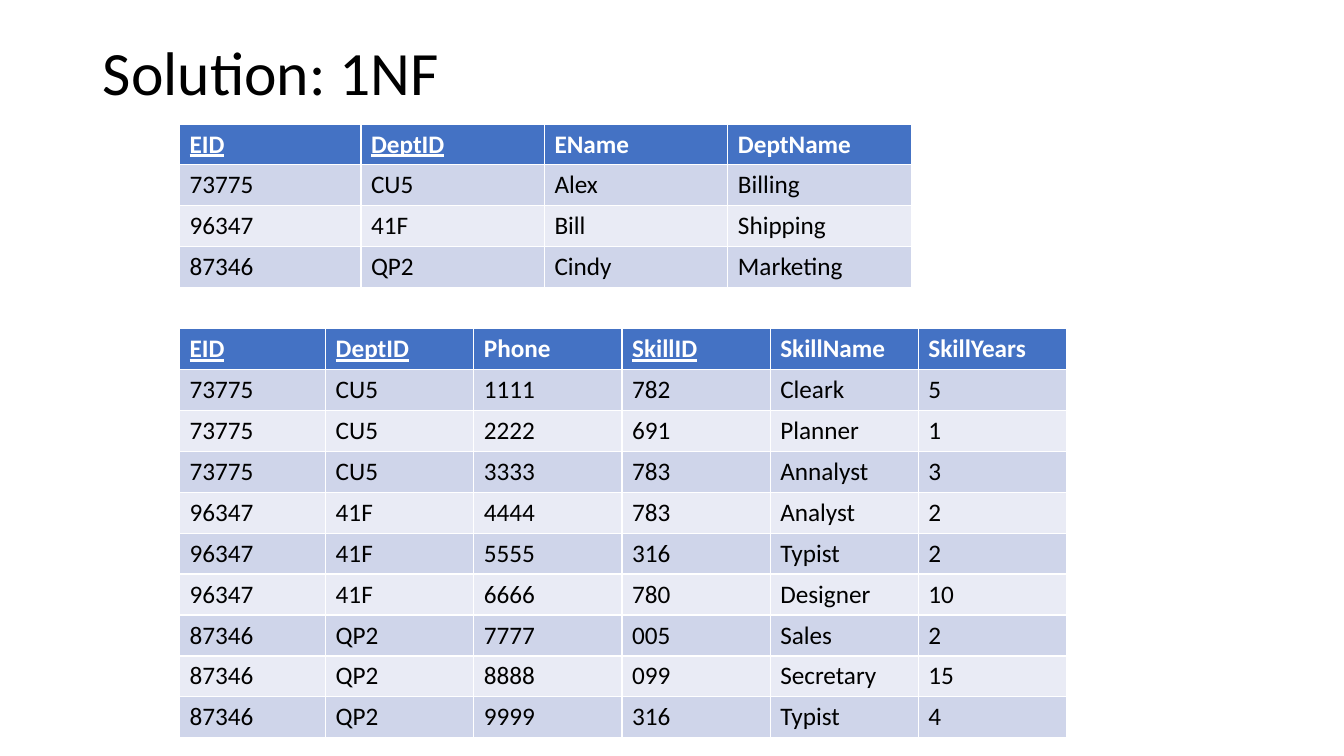
from pptx import Presentation
from pptx.dml.color import RGBColor
from pptx.enum.text import MSO_ANCHOR, PP_ALIGN
from pptx.util import Inches, Pt

LEFT, MIDDLE = PP_ALIGN.LEFT, MSO_ANCHOR.MIDDLE
FONT = "Calibri"
BLACK, WHITE = "000000", "FFFFFF"
HEAD, BANDS = "4472C4", ("CFD5EA", "E9EBF5")
TITLE_ONLY = 5

# Table contents, with the header first
STAFF = """EID DeptID EName DeptName
73775 CU5 Alex Billing
96347 41F Bill Shipping
87346 QP2 Cindy Marketing"""

SKILLS = """EID DeptID Phone SkillID SkillName SkillYears
73775 CU5 1111 782 Cleark 5
73775 CU5 2222 691 Planner 1
73775 CU5 3333 783 Annalyst 3
96347 41F 4444 783 Analyst 2
96347 41F 5555 316 Typist 2
96347 41F 6666 780 Designer 10
87346 QP2 7777 005 Sales 2
87346 QP2 8888 099 Secretary 15
87346 QP2 9999 316 Typist 4"""

KEYS = {"EID", "DeptID", "SkillID"}


def color(code):
    return RGBColor.from_string(code)


def style(font, size, code):
    font.name, font.size = FONT, Pt(size)
    font.color.rgb = color(code)


def add_title(slide, text):
    title = slide.shapes.title
    title.left, title.top = Inches(0.92), Inches(0.02)
    title.width, title.height = Inches(11.5), Inches(1.45)
    frame = title.text_frame
    frame.text = text
    frame.vertical_anchor = MIDDLE
    para = frame.paragraphs[0]
    para.alignment, para.line_spacing = LEFT, 0.9
    style(para.font, 44, BLACK)


def fill_cell(cell, text, row):
    is_head = row == 0
    cell.text = text
    cell.fill.solid()
    cell.fill.fore_color.rgb = color(HEAD if is_head else BANDS[(row - 1) % 2])
    font = cell.text_frame.paragraphs[0].font
    style(font, 18, WHITE if is_head else BLACK)
    font.bold = is_head
    font.underline = is_head and text in KEYS


def add_grid(slide, data, top, height, first, other):
    """Add a table whose first column has its own width."""
    rows = [line.split() for line in data.splitlines()]
    count = len(rows[0])
    width = first + other * (count - 1)
    table = slide.shapes.add_table(
        len(rows), count, Inches(1.78), Inches(top), Inches(width), Inches(height)
    ).table
    for col, column in enumerate(table.columns):
        column.width = Inches(other if col else first)
    for row, values in enumerate(rows):
        for col, text in enumerate(values):
            fill_cell(table.cell(row, col), text, row)


def main():
    deck = Presentation()
    deck.slide_width, deck.slide_height = Inches(13.33), Inches(7.5)
    slide = deck.slides.add_slide(deck.slide_layouts[TITLE_ONLY])
    add_title(slide, "Solution: 1NF")
    add_grid(slide, SKILLS, top=3.26, height=4.06, first=1.45, other=1.47)
    add_grid(slide, STAFF, top=1.23, height=1.62, first=1.8, other=1.82)
    deck.save("out.pptx")


if __name__ == "__main__":
    main()
